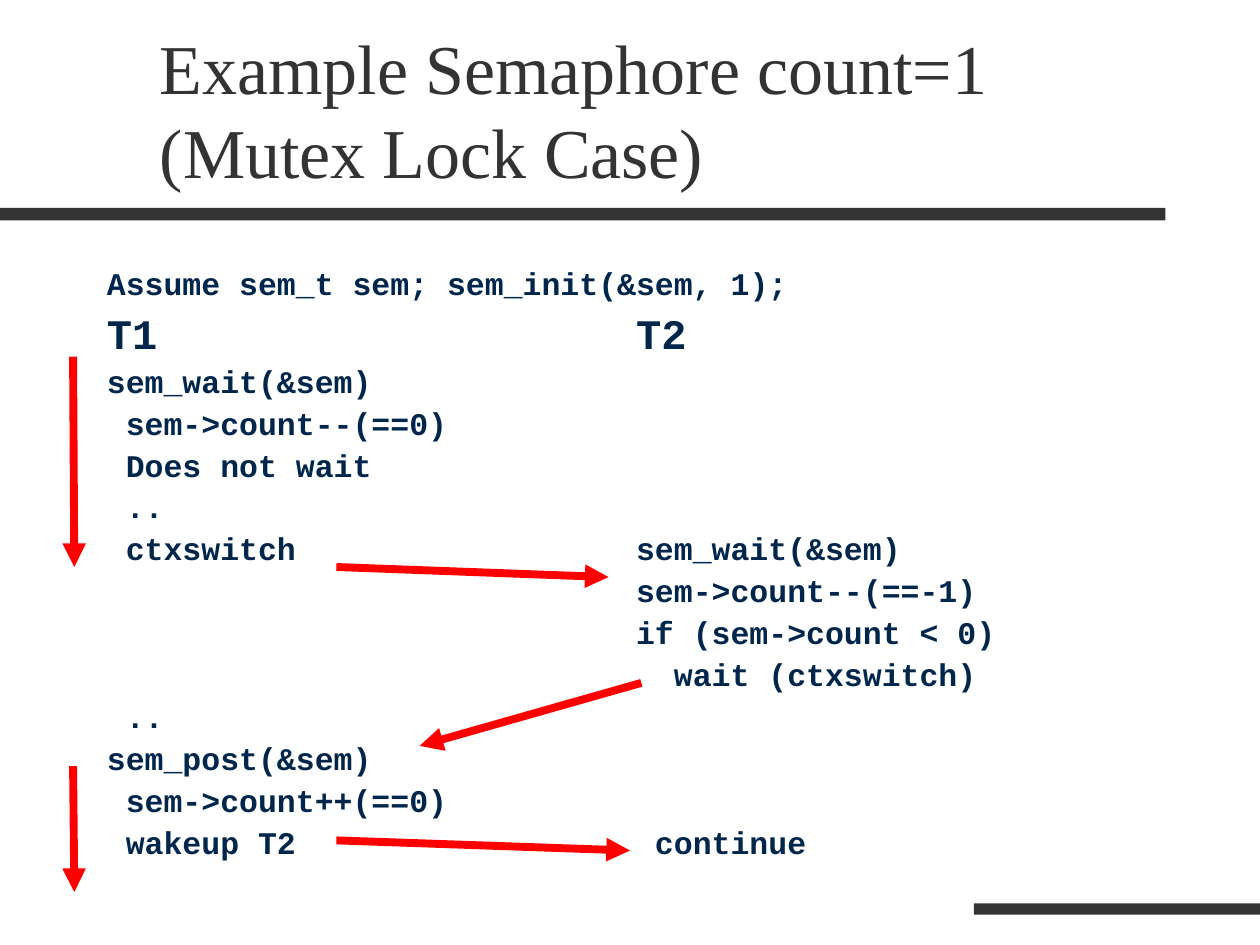
from lxml.etree import SubElement
from pptx import Presentation
from pptx.dml.color import RGBColor
from pptx.enum.shapes import MSO_CONNECTOR, MSO_SHAPE
from pptx.enum.text import MSO_ANCHOR
from pptx.oxml.ns import qn
from pptx.util import Inches, Pt

CHARACTER_WIDTH = 0.15  # one 18 pt Courier New character, in inches
T2_COLUMN = 28

# Each line is a list of (character column, text) pieces.
CODE_LINES = [
    [(0, "sem_wait(&sem)")],
    [(1, "sem->count--(==0)")],
    [(1, "Does not wait")],
    [(1, "..")],
    [(1, "ctxswitch"), (T2_COLUMN, "sem_wait(&sem)")],
    [(T2_COLUMN, "sem->count--(==-1)")],
    [(T2_COLUMN, "if (sem->count < 0)")],
    [(T2_COLUMN + 2, "wait (ctxswitch)")],
    [(1, "..")],
    [(0, "sem_post(&sem)")],
    [(1, "sem->count++(==0)")],
    [(1, "wakeup T2"), (T2_COLUMN + 1, "continue")],
]

CONTROL_FLOW = [
    (0.58, 2.83, 0.59, 4.5),
    (2.67, 4.5, 4.83, 4.58),
    (5.09, 5.42, 3.33, 5.92),
    (0.58, 6.08, 0.59, 7.08),
    (2.67, 6.67, 5, 6.75),
]


def color(hex_string):
    return RGBColor.from_string(hex_string)


def write(paragraph, text, *, font, size, fill, bold=False):
    run = paragraph.add_run()
    run.text = text
    run.font.name = font
    run.font.size = Pt(size)
    run.font.bold = bold
    run.font.color.rgb = color(fill)


class SlideBuilder:
    bar_color = "333333"
    code_color = "00264C"
    arrow_color = "FF0000"
    title_font = "Times New Roman"
    code_font = "Courier New"

    def __init__(self, slide):
        self.slide = slide

    def bar(self, left, top, width, height):
        shape = self.slide.shapes.add_shape(
            MSO_SHAPE.RECTANGLE, Inches(left), Inches(top), Inches(width), Inches(height))
        shape.shadow.inherit = False
        shape.fill.solid()
        shape.fill.fore_color.rgb = color(self.bar_color)
        shape.line.fill.background()

    def text_frame(self, left, top, width, height):
        box = self.slide.shapes.add_textbox(
            Inches(left), Inches(top), Inches(width), Inches(height))
        box.text_frame.word_wrap = True
        return box.text_frame

    def title(self, text):
        frame = self.text_frame(1.17, 0.15, 8.5, 1.43)
        frame.vertical_anchor = MSO_ANCHOR.BOTTOM
        frame.margin_right = Inches(0.3)
        write(frame.paragraphs[0], text, font=self.title_font, size=40, fill=self.bar_color)

    def code_line(self, paragraph, pieces, size=18):
        """Write one line, with a tab stop for every piece not at column 0."""
        paragraph.line_spacing = 0.9
        paragraph.space_before = Pt(size / 4)
        columns = [column for column, _ in pieces if column]
        if columns:
            properties = paragraph._p.get_or_add_pPr()
            tab_list = SubElement(properties, qn("a:tabLst"))
            for column in columns:
                position = Inches(column * CHARACTER_WIDTH)
                SubElement(tab_list, qn("a:tab"), pos=str(position), algn="l")
        text = "".join("\t" + piece if column else piece for column, piece in pieces)
        write(paragraph, text, font=self.code_font, size=size, fill=self.code_color, bold=True)

    def code(self, declaration, headings, lines):
        frame = self.text_frame(0.75, 2.08, 8.5, 5.17)
        self.code_line(frame.paragraphs[0], [(0, declaration)])
        self.code_line(frame.add_paragraph(), headings, size=24)
        for pieces in lines:
            self.code_line(frame.add_paragraph(), pieces)

    def arrow(self, *ends):
        connector = self.slide.shapes.add_connector(
            MSO_CONNECTOR.STRAIGHT, *(Inches(value) for value in ends))
        connector.line.color.rgb = color(self.arrow_color)
        connector.line.width = Pt(4.5)
        SubElement(connector.line._get_or_add_ln(), qn("a:tailEnd"), type="triangle")
        SubElement(connector._element.spPr, qn("a:effectLst"))


def main():
    presentation = Presentation()
    presentation.slide_width = Inches(10)
    presentation.slide_height = Inches(7.5)
    builder = SlideBuilder(presentation.slides.add_slide(presentation.slide_layouts[6]))
    builder.bar(0, 1.65, 9.25, 0.1)
    builder.bar(7.73, 7.17, 2.27, 0.09)
    builder.title("Example Semaphore count=1 (Mutex Lock Case)")
    builder.code("Assume sem_t sem; sem_init(&sem, 1);",
                 [(0, "T1"), (T2_COLUMN, "T2")], CODE_LINES)
    for ends in CONTROL_FLOW:
        builder.arrow(*ends)
    presentation.save("out.pptx")


if __name__ == "__main__":
    main()
